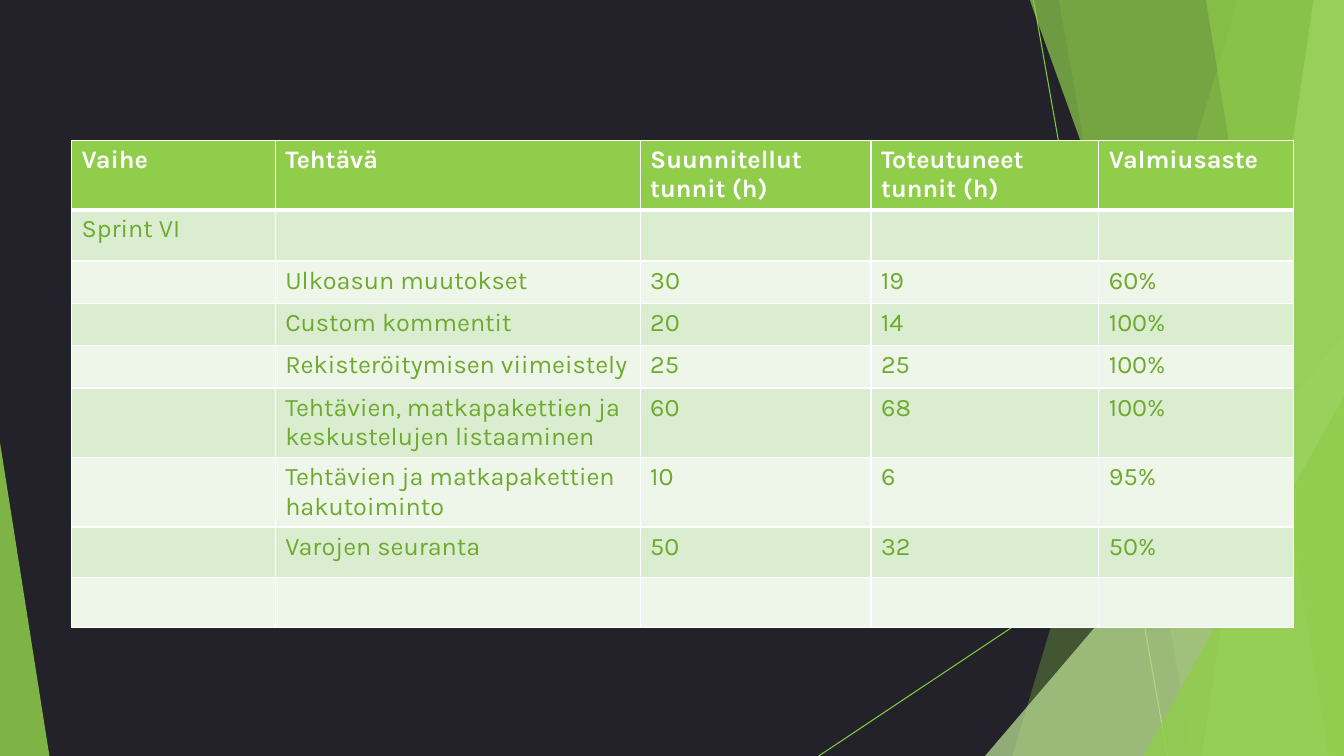
from lxml.etree import SubElement
from pptx import Presentation
from pptx.dml.color import RGBColor
from pptx.enum.shapes import MSO_CONNECTOR, MSO_SHAPE
from pptx.oxml.ns import qn
from pptx.util import Inches, Pt

FONT = "Karla"
COLORS = {
    "background": "23222A", "ray": "83CB39", "green": "8FCD4B",
    "light": "BDE295", "white": "FFFFFF", "text": "6DAA2D",
    "band_dark": "DBEDD0", "band_light": "EEF6E9",
}
TOP, BOTTOM, RIGHT = -0.01, 7.5, 13.33

COLUMNS = [2.02, 3.62, 2.29, 2.26, 1.93]
HEIGHTS = [0.69, 0.51, 0.42, 0.42, 0.42, 0.69, 0.69, 0.5, 0.5]
ROWS = [
    ["Vaihe", "Tehtävä", "Suunnitellut tunnit (h)", "Toteutuneet tunnit (h)", "Valmiusaste"],
    ["Sprint VI", "", "", "", ""],
    ["", "Ulkoasun muutokset", "30", "19", "60%"],
    ["", "Custom kommentit", "20", "14", "100%"],
    ["", "Rekisteröitymisen viimeistely", "25", "25", "100%"],
    ["", "Tehtävien, matkapakettien ja keskustelujen listaaminen", "60", "68", "100%"],
    ["", "Tehtävien ja matkapakettien hakutoiminto", "10", "6", "95%"],
    ["", "Varojen seuranta", "50", "32", "50%"],
    ["", "", "", "", ""],
]


def rgb(name):
    return RGBColor.from_string(COLORS[name])


def paint(shape, color, opacity):
    shape.shadow.inherit = False
    shape.line.fill.background()
    shape.fill.solid()
    shape.fill.fore_color.rgb = rgb(color)
    srgb = shape.fill._xPr.find(".//" + qn("a:srgbClr"))
    SubElement(srgb, qn("a:alpha"), val=str(opacity * 1000))


def add_ray(s, x1, y1, x2, y2):
    line = s.shapes.add_connector(
        MSO_CONNECTOR.STRAIGHT, Inches(x1), Inches(y1), Inches(x2), Inches(y2))
    line.line.color.rgb = rgb("ray")
    line.line.width = Pt(0.75)
    SubElement(line._element.spPr, qn("a:effectLst"))


def add_shard(s, top_x, bottom_x, color, opacity):
    """Panel from a slanted left edge to the right side of the slide."""
    builder = s.shapes.build_freeform(Inches(top_x), Inches(TOP))
    corners = [(RIGHT, TOP), (RIGHT, BOTTOM), (bottom_x, BOTTOM)]
    builder.add_line_segments([(Inches(x), Inches(y)) for x, y in corners], close=True)
    paint(builder.convert_to_shape(), color, opacity)


def add_triangle(s, x, y, w, h, apex, color, opacity):
    sp = s.shapes.add_shape(
        MSO_SHAPE.ISOSCELES_TRIANGLE, Inches(x), Inches(y), Inches(w), Inches(h))
    sp.adjustments[0] = apex
    paint(sp, color, opacity)


def add_facets(s):
    add_ray(s, 10.25, 0, 11.58, BOTTOM)
    add_ray(s, RIGHT, 4.03, 8.12, BOTTOM)
    add_shard(s, 12.28, 10.04, "green", 30)
    add_shard(s, 10.5, 11.83, "green", 20)
    add_triangle(s, 9.77, 3.33, 3.56, 4.17, 1, "light", 72)
    add_shard(s, 10.21, 12.91, "green", 70)
    add_shard(s, 13.03, 11.92, "light", 70)
    add_shard(s, 11.96, 13.18, "green", 65)
    add_triangle(s, 11.34, 3.93, 1.99, 3.57, 1, "green", 80)
    add_triangle(s, 0, 4.39, 0.49, 3.11, 0, "green", 85)


def set_borders(cell, top, bottom):
    tcPr = cell._tc.get_or_add_tcPr()
    for side, width in (("L", 1), ("R", 1), ("T", top), ("B", bottom)):
        ln = SubElement(tcPr, qn("a:ln" + side), w=str(Pt(width)))
        fill = SubElement(ln, qn("a:solidFill"))
        SubElement(fill, qn("a:srgbClr"), val=COLORS["white"])


def fill_cell(cell, text, row):
    header = row == 0
    set_borders(cell, 3 if row == 1 else 1, 3 if header else 1)
    cell.fill.solid()
    band = "band_dark" if row % 2 else "band_light"
    cell.fill.fore_color.rgb = rgb("green" if header else band)
    p = cell.text_frame.paragraphs[0]
    p.font.size = Pt(18)
    if text:
        r = p.add_run()
        r.text = text
        r.font.name = FONT
        r.font.size = Pt(18)
        r.font.bold = header
        r.font.color.rgb = rgb("white" if header else "text")


def add_hours_table(s):
    frame = s.shapes.add_table(
        len(ROWS), len(COLUMNS), Inches(0.71), Inches(1.39),
        Inches(sum(COLUMNS)), Inches(sum(HEIGHTS)))
    table = frame.table
    for column, width in zip(table.columns, COLUMNS):
        column.width = Inches(width)
    for i, (height, texts) in enumerate(zip(HEIGHTS, ROWS)):
        table.rows[i].height = Inches(height)
        for j, text in enumerate(texts):
            fill_cell(table.cell(i, j), text, i)


def main():
    prs = Presentation()
    prs.slide_width, prs.slide_height = Inches(13.33), Inches(7.5)
    s = prs.slides.add_slide(prs.slide_layouts[6])  # blank layout: no title here
    s.background.fill.solid()
    s.background.fill.fore_color.rgb = rgb("background")
    # Decorative facets behind the table
    add_facets(s)
    # Planned and actual hours
    add_hours_table(s)
    prs.save("out.pptx")


main()
